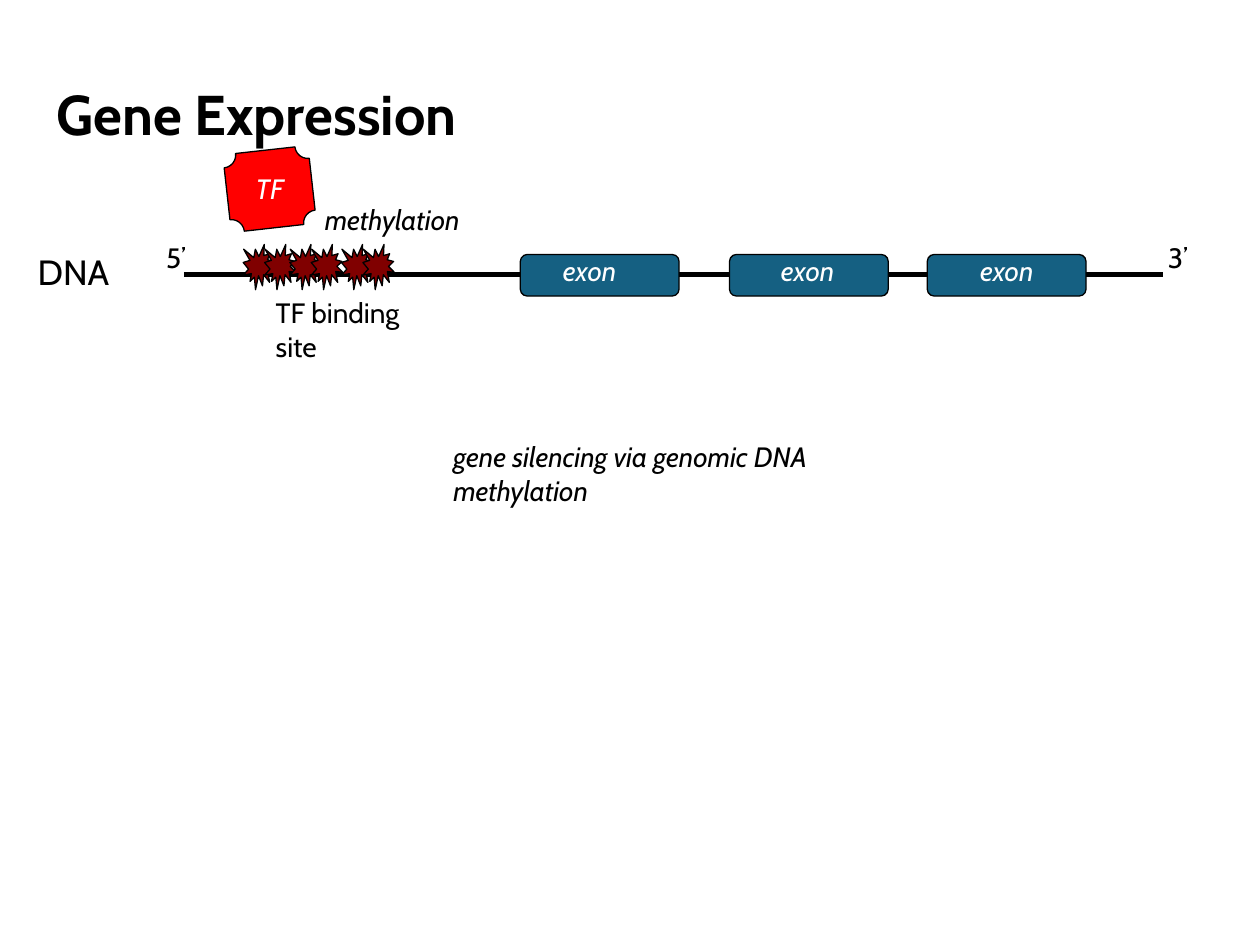
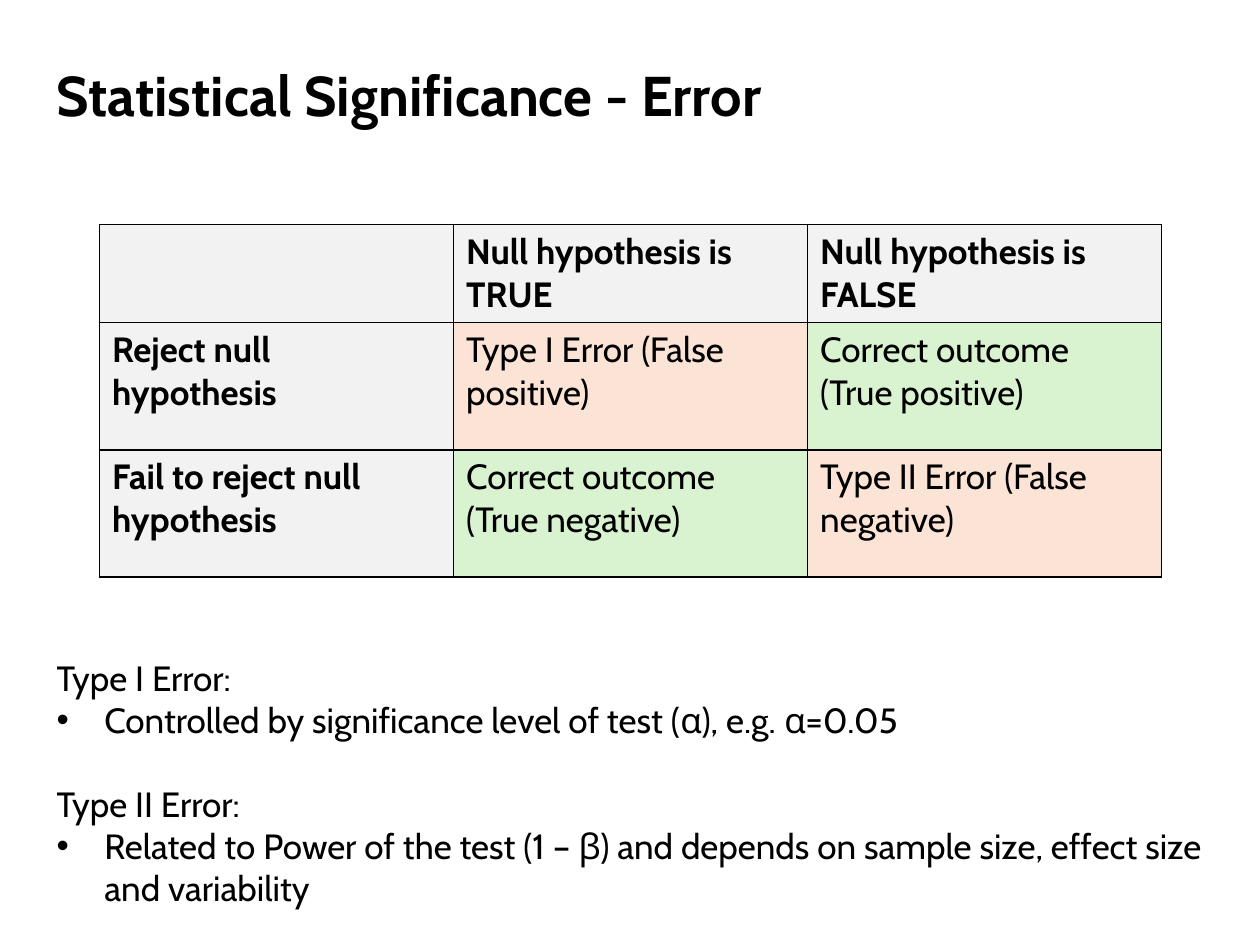
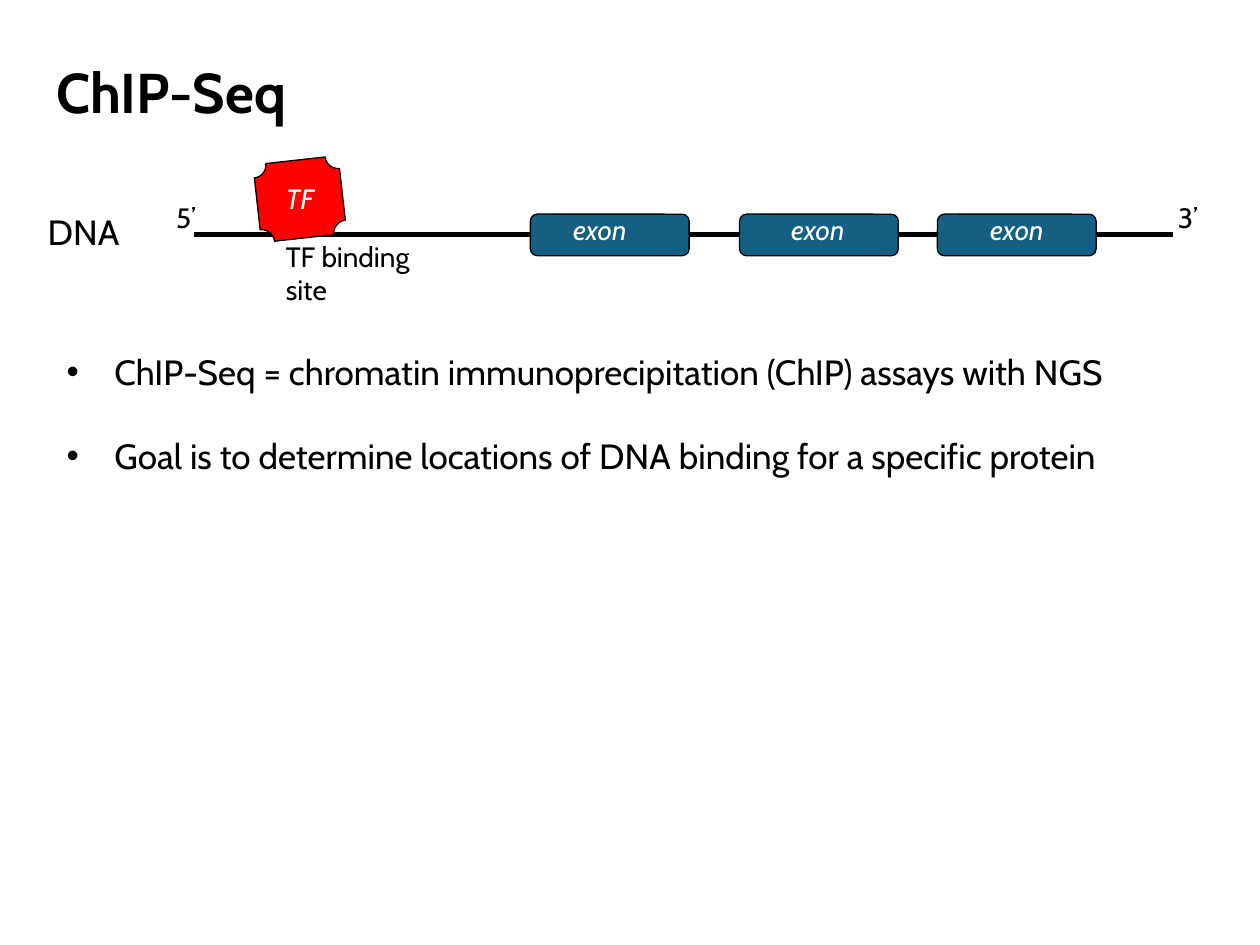
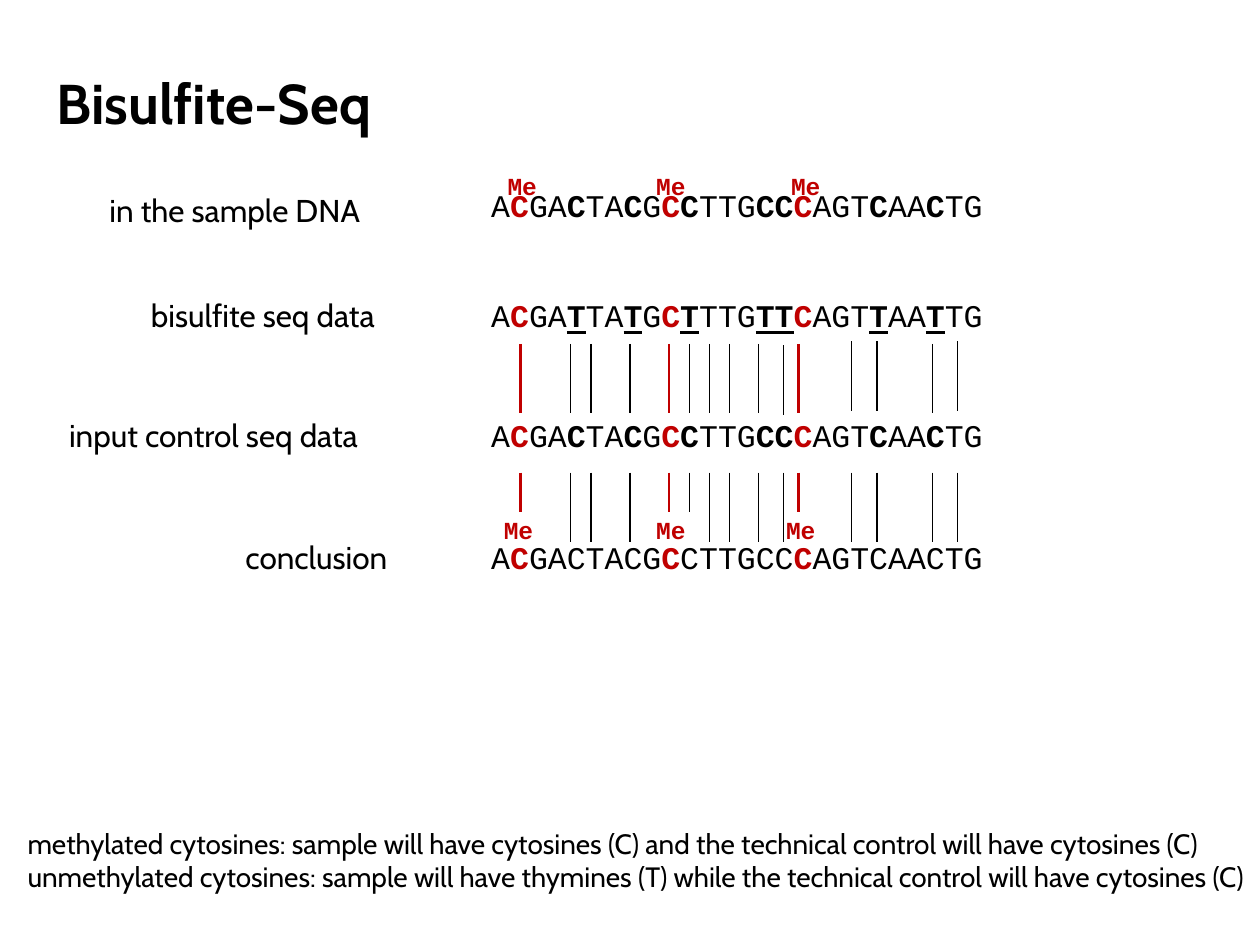
from itertools import groupby

from lxml import etree
from pptx import Presentation
from pptx import util as u
from pptx.dml.color import RGBColor
from pptx.enum import shapes, text
from pptx.oxml import ns

COLORS = {
    "ink": "000000", "white": "FFFFFF", "exon": "156082", "factor": "FF0000",
    "methyl": "800000", "mark": "C00000", "header": "F2F2F2",
    "error": "FBE3D6", "correct": "D9F2D0",
}
SANS, MONO = "Cabin", "Courier New"
SEQUENCE = "ACGACTACGCCTTGCCCAGTCAACTG"
METHYLATED = {1, 9, 16}  # positions of methylated cytosines


def color(name):
    return RGBColor.from_string(COLORS[name])


def inches(*lengths):
    return [u.Inches(length) for length in lengths]


def shift(box, left, top, width, height):
    """Place a part relative to the left top corner of a box."""
    return box[0] + left, box[1] + top, width, height


# ---- Shared parts ----
def style(span, size, font=SANS, tint="ink", bold=False, italic=False, underline=False):
    span.font.name, span.font.size = font, u.Pt(size)
    span.font.bold, span.font.italic, span.font.underline = bold, italic, underline
    span.font.color.rgb = color(tint)


def add_text(page, box, lines, size=16, wrap=True, **look):
    """Write one paragraph per line and return the text frame."""
    frame = page.shapes.add_textbox(*inches(*box)).text_frame
    frame.text = "\n".join(lines) if isinstance(lines, list) else lines
    frame.word_wrap = wrap
    frame.auto_size = text.MSO_AUTO_SIZE.SHAPE_TO_FIT_TEXT
    for para in frame.paragraphs:
        for span in para.runs:
            style(span, size, **look)
    return frame


def add_title(page, words, height):
    frame = add_text(page, (0.35, -0.19, 9.37, height), words, 32, bold=True)
    frame.auto_size = text.MSO_AUTO_SIZE.NONE
    frame.vertical_anchor = text.MSO_ANCHOR.BOTTOM
    frame.paragraphs[0].line_spacing = 0.9


def add_shape(page, kind, box, fill):
    shape = page.shapes.add_shape(kind, *inches(*box))
    shape.shadow.inherit = False
    shape.fill.solid()
    shape.fill.fore_color.rgb = color(fill)
    shape.line.color.rgb = color("ink")
    shape.line.width = u.Pt(0.75)
    return shape


def add_line(page, start, end, width, tint="ink"):
    line = page.shapes.add_connector(shapes.MSO_CONNECTOR.STRAIGHT, *inches(*start, *end))
    line.line.color.rgb = color(tint)
    line.line.width = u.Pt(width)
    etree.SubElement(line._element.spPr, ns.qn("a:effectLst"))


def add_bullet(para):
    settings = para._p.get_or_add_pPr()
    settings.set("marL", str(u.Inches(0.38)))
    settings.set("indent", str(u.Inches(-0.38)))
    etree.SubElement(settings, ns.qn("a:buFont")).set("typeface", "Arial")
    etree.SubElement(settings, ns.qn("a:buChar")).set("char", "•")


# ---- Gene diagram ----
def draw_locus(page, box, site_top=0.31):
    """Draw the DNA strand with its exons, end labels and binding site label."""
    add_text(page, shift(box, 0, 0.08, 1.34, 0.44), "DNA", 20)
    left, top = box[0] + 1.26, box[1] + 0.32
    add_line(page, (left, top), (left + 7.77, top), 3)
    exons = [(3.93, 0.24), (5.59, 0.31), (7.16, 0.32)]
    for exon_left, _ in exons:
        add_shape(page, shapes.MSO_SHAPE.ROUNDED_RECTANGLE,
                  shift(box, exon_left, 0.16, 1.26, 0.33), "exon")
    for exon_left, indent in exons:
        add_text(page, shift(box, exon_left + indent, 0.1, 1.34, 0.37), "exon",
                 tint="white", italic=True)
    for end_left, label in ((1.02, "5’"), (8.97, "3’")):
        add_text(page, shift(box, end_left, 0, 0.47, 0.37), label)
    add_text(page, shift(box, 1.89, site_top, 1.26, 0.64), "TF binding site")


def draw_factor(page, box):
    """Draw the tilted transcription factor."""
    plaque = add_shape(page, shapes.MSO_SHAPE.PLAQUE, shift(box, 0, 0, 0.68, 0.62), "factor")
    plaque.rotation = 353.6
    add_text(page, shift(box, 0.13, 0.12, 1.34, 0.37), "TF", tint="white", italic=True)


def draw_methylation(page, box):
    """Draw pairs of methyl groups under their label."""
    for pair_left in (0, 0.37, 0.78):
        for step in (0, 0.17):
            add_shape(page, shapes.MSO_SHAPE.EXPLOSION1,
                      shift(box, pair_left + step, 0.38, 0.25, 0.36), "methyl")
    add_text(page, shift(box, 0.55, 0, 2.28, 0.37), "methylation", italic=True)


# ---- Error table ----
def add_borders(cell):
    settings = cell._tc.get_or_add_tcPr()
    for place, side in enumerate(("lnL", "lnR", "lnT", "lnB")):
        border = etree.Element(ns.qn(f"a:{side}"), w=str(u.Pt(1)))
        fill = etree.SubElement(border, ns.qn("a:solidFill"))
        etree.SubElement(fill, ns.qn("a:srgbClr"), val=COLORS["ink"])
        settings.insert(place, border)


def draw_error_table(page, box):
    rows = [
        ["", "Null hypothesis is TRUE", "Null hypothesis is FALSE"],
        ["Reject null hypothesis", "Type I Error (False positive)",
         "Correct outcome (True positive)"],
        ["Fail to reject null hypothesis", "Correct outcome (True negative)",
         "Type II Error (False negative)"],
    ]
    table = page.shapes.add_table(3, 3, *inches(*box)).table
    for column in table.columns:
        column.width = u.Inches(2.81)
    for row, height in zip(table.rows, (0.78, 1.01, 1.01)):
        row.height = u.Inches(height)
    for down, row in enumerate(rows):
        for across, words in enumerate(row):
            cell = table.cell(down, across)
            cell.text = words
            heading = down == 0 or across == 0
            outcome = "error" if down == across else "correct"
            cell.fill.solid()
            cell.fill.fore_color.rgb = color("header" if heading else outcome)
            add_borders(cell)
            for span in cell.text_frame.paragraphs[0].runs:
                style(span, 20, bold=heading)


# ---- Sequence alignment ----
def base_kind(place):
    if place in METHYLATED:
        return "methylated"
    return "open" if SEQUENCE[place] == "C" else "plain"


def draw_sequence(page, box, converted=False, show_open=True):
    """Write the bases; bisulfite turns open cytosines into thymines."""
    frame = add_text(page, shift(box, 0, 0, 4.12, 0.4), "", wrap=False)
    for kind, places in groupby(range(len(SEQUENCE)), base_kind):
        bases = "".join(SEQUENCE[place] for place in places)
        is_open = kind == "open" and show_open
        span = frame.paragraphs[0].add_run()
        span.text = bases.replace("C", "T") if is_open and converted else bases
        style(span, 18, MONO, "mark" if kind == "methylated" else "ink",
              bold=kind == "methylated" or is_open, underline=is_open and converted)


def draw_methyl_marks(page, top, lefts):
    for left in lefts:
        add_text(page, (left, top, 0.44, 0.34), "Me", 14, wrap=False,
                 font=MONO, tint="mark", bold=True)


def draw_links(page, box):
    """Join matching bases between the three lower sequences."""
    long, short = 0.55, 0.31
    links = [  # left, shift of the upper link, length of the lower link, colour
        (0.33, 0, short, "mark"), (0.73, 0, long, "ink"), (0.89, 0, long, "ink"),
        (1.2, 0, long, "ink"), (1.51, 0, short, "mark"), (1.67, 0, short, "ink"),
        (1.83, 0, long, "ink"), (1.99, 0, long, "ink"), (2.22, 0, long, "ink"),
        (2.42, 0.01, long, "ink"), (2.54, 0, short, "mark"), (2.96, -0.02, long, "ink"),
        (3.16, -0.02, long, "ink"), (3.6, 0, long, "ink"), (3.8, -0.02, long, "ink"),
    ]
    for offset, nudge, length, tint in links:
        left, upper, lower = box[0] + offset, box[1] + nudge, box[1] + 1.02
        width = 1.5 if tint == "mark" else 0.75
        add_line(page, (left, upper), (left, upper + long), width, tint)
        add_line(page, (left, lower), (left, lower + length), width, tint)


# ---- Slides ----
def build_expression(page):
    draw_locus(page, (0.2, 1.86), site_top=0.44)
    draw_factor(page, (1.8, 1.19))
    draw_methylation(page, (1.93, 1.56))
    add_text(page, (3.5, 3.44, 3.46, 0.64),
             "gene silencing via genomic DNA methylation", italic=True)
    add_title(page, "Gene Expression", 1.41)


def build_error(page):
    add_title(page, "Statistical Significance - Error", 1.26)
    draw_error_table(page, (0.79, 1.78, 8.43, 2.8))
    frame = add_text(page, (0.35, 5.16, 9.29, 2.46), [
        "Type I Error:",
        "Controlled by significance level of test (α), e.g. α=0.05",
        "Type II Error:",
        "Related to Power of the test (1 – β) and depends on sample size, "
        "effect size and variability",
    ], 20)
    for para in frame.paragraphs[1::2]:
        add_bullet(para)
    frame.paragraphs[2].space_before = u.Pt(24)


def build_chip(page):
    add_title(page, "ChIP-Seq", 1.24)
    frame = add_text(page, (0.43, 2.73, 9.13, 1.11), [
        "ChIP-Seq = chromatin immunoprecipitation (ChIP) assays with NGS",
        "Goal is to determine locations of DNA binding for a specific protein",
    ], 20)
    for para in frame.paragraphs:
        add_bullet(para)
    frame.paragraphs[1].space_before = u.Pt(24)
    draw_locus(page, (0.28, 1.54))
    draw_factor(page, (2.04, 1.27))


def build_bisulfite(page):
    labels = [
        ((0.77, 1.47, 2.81, 0.5), "in the sample DNA"),
        ((1.1, 2.3, 2.53, 0.5), "bisulfite seq data"),
        ((0.45, 3.25, 3.13, 0.5), "input control seq data"),
        ((1.85, 4.22, 1.66, 0.5), "conclusion"),
    ]
    for box, words in labels:
        add_text(page, box, words, 18, wrap=False)
    draw_sequence(page, (3.8, 4.22), show_open=False)
    draw_methyl_marks(page, 4.04, (3.9, 5.11, 6.14))
    draw_links(page, (3.8, 2.73))
    add_text(page, (0.12, 6.51, 9.88, 0.64), [
        "methylated cytosines: sample will have cytosines (C) "
        "and the technical control will have cytosines (C)",
        "unmethylated cytosines: sample will have thymines (T) "
        "while the technical control will have cytosines (C)",
    ])
    add_title(page, "Bisulfite-Seq", 1.32)
    draw_methyl_marks(page, 1.31, (3.93, 5.11, 6.18))
    draw_sequence(page, (3.8, 2.3), converted=True)
    for top in (3.25, 1.43):
        draw_sequence(page, (3.8, top))


def main():
    deck = Presentation()
    deck.slide_width, deck.slide_height = inches(10, 7.5)
    for build in (build_expression, build_error, build_chip, build_bisulfite):
        build(deck.slides.add_slide(deck.slide_layouts[6]))
    deck.save("out.pptx")


if __name__ == "__main__":
    main()
